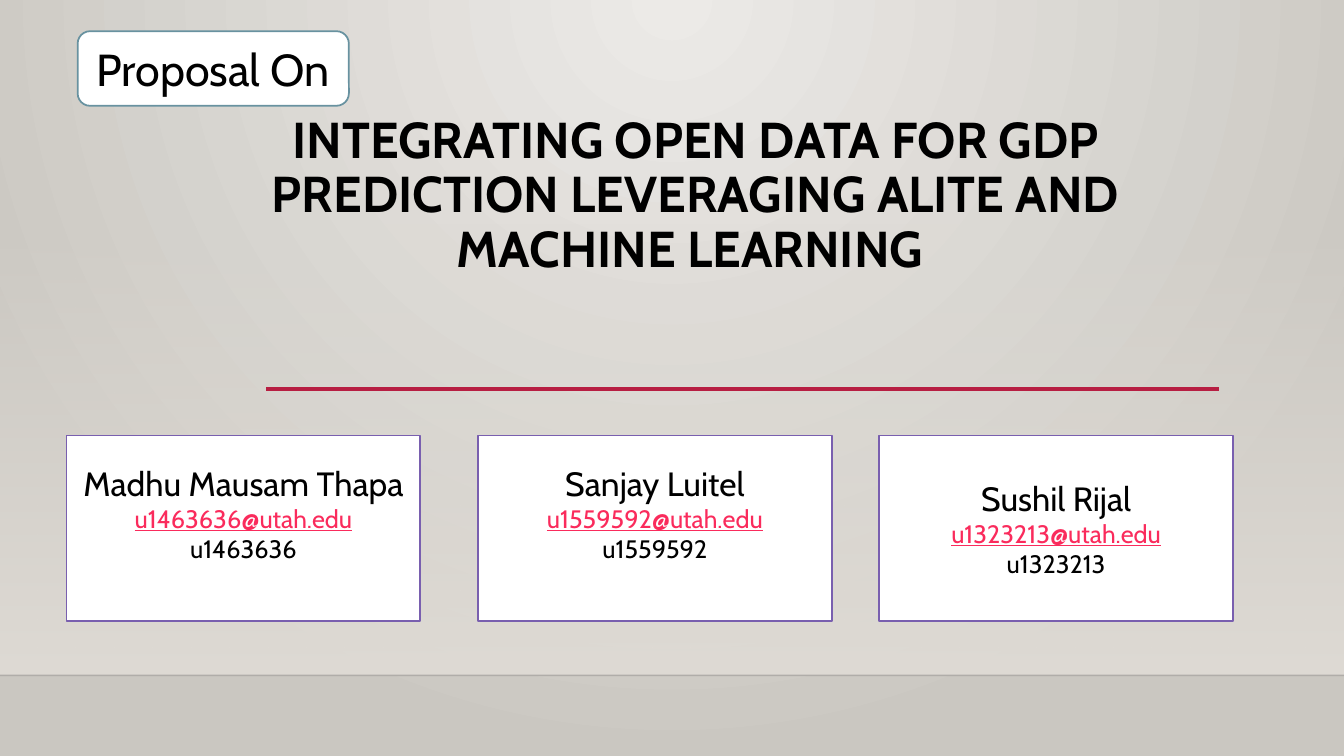
from dataclasses import dataclass

from lxml import etree
from pptx import Presentation
from pptx.dml.color import RGBColor
from pptx.enum import shapes, text
from pptx.oxml import ns
from pptx.util import Inches, Pt


@dataclass(frozen=True)
class Theme:
    font: str = "Cabin"
    ink: str = "000000"
    white: str = "FFFFFF"
    link: str = "FA2B5C"
    rule: str = "B71E42"
    floor_line: str = "000001"
    card_line: str = "795FAF"
    tag_line: str = "6892A0"
    wall: str = "DFDBD5"
    glow: str = "ECEAE7"
    edge: str = "CAC7C1"
    title_size: int = 36
    tag_size: int = 32
    name_size: int = 24
    detail_size: int = 18


THEME = Theme()
SLIDE_WIDTH, SLIDE_HEIGHT = 13.33, 7.5
FLOOR_TOP = 6.7
MEMBERS = [
    # left edge, bottom inset, name, email, student number
    (0.66, 0.35, "Madhu Mausam Thapa", "u1463636@utah.edu", "u1463636"),
    (4.74, 0.35, "Sanjay Luitel", "u1559592@utah.edu", "u1559592"),
    (8.72, 0.05, "Sushil Rijal", "u1323213@utah.edu", "u1323213"),
]


def rgb(color):
    return RGBColor.from_string(color)


def set_alpha(parent, percent):
    """Make the first RGB colour under parent partly transparent."""
    color = parent.find(".//" + ns.qn("a:srgbClr"))
    etree.SubElement(color, ns.qn("a:alpha"), val=str(percent * 1000))


def set_gradient(fill, start, end):
    fill.gradient()
    for stop, color in zip(fill.gradient_stops, (start, end)):
        stop.color.rgb = rgb(color)


def add_run(paragraph, words, size, color=THEME.ink, bold=False, underline=False):
    run = paragraph.add_run()
    run.text = words
    font = run.font
    font.name, font.size = THEME.font, Pt(size)
    font.bold, font.underline = bold, underline
    font.color.rgb = rgb(color)


def add_line(slide, left, top, width, color, weight):
    line = slide.shapes.add_connector(
        shapes.MSO_CONNECTOR.STRAIGHT,
        Inches(left), Inches(top), Inches(left + width), Inches(top))
    line.line.color.rgb = rgb(color)
    line.line.width = Pt(weight)
    properties = line._element.spPr
    etree.SubElement(properties, ns.qn("a:effectLst"))
    return line


def add_panel(slide, kind, box, outline):
    """Add a white outlined shape and return its text frame."""
    panel = slide.shapes.add_shape(kind, *map(Inches, box))
    panel.shadow.inherit = False
    panel.fill.solid()
    panel.fill.fore_color.rgb = rgb(THEME.white)
    panel.line.color.rgb = rgb(outline)
    panel.line.width = Pt(1.25)
    frame = panel.text_frame
    frame.word_wrap = True
    frame.vertical_anchor = text.MSO_ANCHOR.MIDDLE
    return frame


def add_backdrop(slide):
    set_gradient(slide.background.fill, THEME.glow, THEME.edge)
    linear = slide.element.find(".//" + ns.qn("a:lin"))
    circle = etree.Element(ns.qn("a:path"), path="circle")
    etree.SubElement(circle, ns.qn("a:fillToRect"),
                     l="43000", t="0", r="43000", b="100000")
    linear.getparent().replace(linear, circle)

    wall_top = 2.21
    wall = slide.shapes.add_shape(
        shapes.MSO_SHAPE.RECTANGLE, 0, Inches(wall_top),
        Inches(SLIDE_WIDTH), Inches(FLOOR_TOP - wall_top))
    wall.shadow.inherit = False
    wall.line.fill.background()
    set_gradient(wall.fill, THEME.wall, THEME.wall)
    wall.fill.gradient_angle = 270
    set_alpha(wall._element.spPr, 0)

    floor = add_line(slide, 0, FLOOR_TOP, SLIDE_WIDTH, THEME.floor_line, 1)
    set_alpha(floor._element.spPr, 20)


def add_title(slide, left, top, width, height):
    title = slide.shapes.title
    title.left, title.top = Inches(left), Inches(top)
    title.width, title.height = Inches(width), Inches(height)
    frame = title.text_frame
    frame.word_wrap = True
    frame.auto_size = text.MSO_AUTO_SIZE.NONE
    frame.vertical_anchor = text.MSO_ANCHOR.BOTTOM
    frame.margin_bottom = 0
    paragraph = frame.paragraphs[0]
    paragraph.alignment = text.PP_ALIGN.CENTER
    paragraph.line_spacing = 0.9
    add_run(paragraph, "INTEGRATING OPEN DATA FOR GDP PREDICTION LEVERAGING "
            "ALITE AND MACHINE LEARNING ", THEME.title_size, bold=True)


def add_tag(slide, *box):
    frame = add_panel(slide, shapes.MSO_SHAPE.ROUNDED_RECTANGLE, box, THEME.tag_line)
    paragraph = frame.paragraphs[0]
    paragraph.alignment = text.PP_ALIGN.CENTER
    add_run(paragraph, "Proposal On", THEME.tag_size)


def add_member_card(slide, box, bottom_inset, name, email, number):
    frame = add_panel(slide, shapes.MSO_SHAPE.RECTANGLE, box, THEME.card_line)
    frame.margin_bottom = Inches(bottom_inset)
    paragraphs = [frame.paragraphs[0], frame.add_paragraph(), frame.add_paragraph()]
    for paragraph in paragraphs:
        paragraph.alignment = text.PP_ALIGN.CENTER
    add_run(paragraphs[0], name, THEME.name_size)
    add_run(paragraphs[1], email, THEME.detail_size, THEME.link, underline=True)
    add_run(paragraphs[2], number, THEME.detail_size)


def build_title_slide(presentation):
    slide = presentation.slides.add_slide(presentation.slide_layouts[0])
    subtitle = slide.placeholders[1]._element
    subtitle.getparent().remove(subtitle)
    add_backdrop(slide)
    add_line(slide, 2.64, 3.86, 9.45, THEME.rule, 2.5)
    add_title(slide, 1.9, 1.22, 10, 1.54)
    # The title starts at the back; bring it in front of the backdrop.
    slide.shapes._spTree.append(slide.shapes.title._element)
    for left, *details in MEMBERS:
        add_member_card(slide, (left, 4.32, 3.51, 1.84), *details)
    add_tag(slide, 0.77, 0.31, 2.69, 0.74)


def main():
    presentation = Presentation()
    presentation.slide_width = Inches(SLIDE_WIDTH)
    presentation.slide_height = Inches(SLIDE_HEIGHT)
    build_title_slide(presentation)
    presentation.save("out.pptx")


if __name__ == "__main__":
    main()
